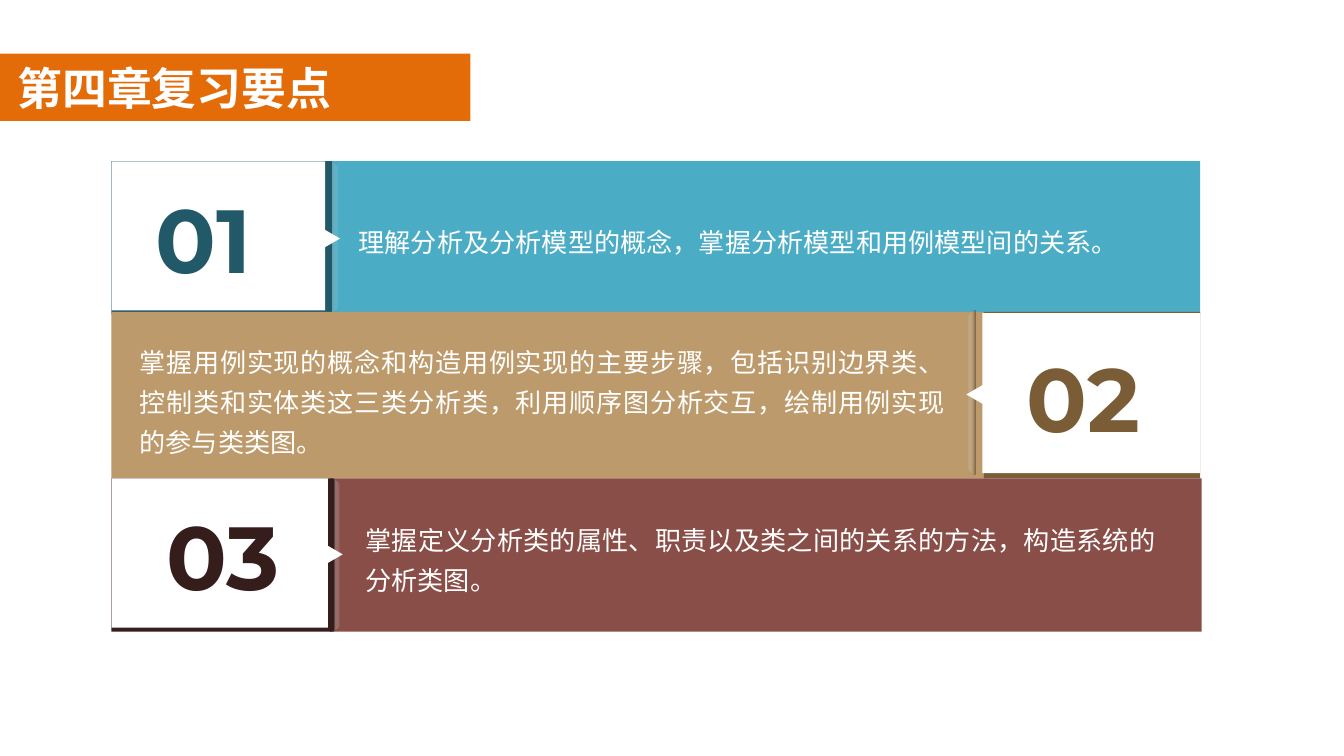
from dataclasses import dataclass
from math import cos, pi, sin

from lxml import etree
from pptx import Presentation
from pptx.dml.color import RGBColor
from pptx.enum.shapes import MSO_SHAPE
from pptx.enum.text import MSO_ANCHOR, MSO_AUTO_SIZE, PP_ALIGN
from pptx.oxml.ns import qn
from pptx.util import Emu, Pt

PX = 9144
WIDE = 1000 * PX
TALL = WIDE * 9 // 16
RECT, ARROW = MSO_SHAPE.RECTANGLE, MSO_SHAPE.ISOSCELES_TRIANGLE
LEFT, JUST = PP_ALIGN.LEFT, PP_ALIGN.JUSTIFY
TOP, MID = MSO_ANCHOR.TOP, MSO_ANCHOR.MIDDLE
FIXED = MSO_AUTO_SIZE.NONE
WHITE = RGBColor(0xFF, 0xFF, 0xFF)
PALE = RGBColor(0xF2, 0xF2, 0xF2)
ORANGE = RGBColor(0xE3, 0x6C, 0x09)
TEAL, DEEP = RGBColor(0x4B, 0xAC, 0xC6), RGBColor(0x21, 0x59, 0x68)
TAN, BROWN = RGBColor(0xBD, 0x9A, 0x6B), RGBColor(0x7A, 0x5D, 0x36)
RED, DARK = RGBColor(0x8A, 0x4E, 0x48), RGBColor(0x35, 0x1D, 0x1B)
HAN, LATIN = "Noto Sans CJK SC", "Montserrat"


@dataclass(frozen=True)
class Box:
    x: int
    y: int
    w: int
    h: int

    def emu(self) -> list[Emu]:
        return [Emu(v * PX) for v in (self.x, self.y, self.w, self.h)]


@dataclass(frozen=True)
class Row:
    mark: str
    text: str
    tint: RGBColor
    shade: RGBColor
    band: Box
    edge: Box
    card: Box
    fold: Box
    arrow: Box
    label: Box
    body: Box
    turn: int = 90
    alpha: int = 100


ROWS = [
    Row("01", "理解分析及分析模型的概念，掌握分析模型和用例模型间的关系。", TEAL, DEEP,
        Box(246, 120, 647, 114), Box(83, 120, 164, 114), Box(83, 120, 159, 111),
        Box(244, 120, 21, 113), Box(239, 171, 15, 13),
        Box(106, 132, 116, 73), Box(257, 157, 608, 38), alpha=82),
    Row("02", "掌握用例实现的概念和构造用例实现的主要步骤，包括识别边界类、"
        "控制类和实体类这三类分析类，利用顺序图分析交互，绘制用例实现的参与类类图。", TAN, BROWN,
        Box(83, 232, 653, 124), Box(732, 232, 161, 124), Box(731, 233, 162, 119),
        Box(710, 231, 16, 122), Box(718, 287, 15, 13),
        Box(754, 250, 116, 73), Box(94, 246, 619, 102), turn=270),
    Row("03", "掌握定义分析类的属性、职责以及类之间的关系的方法，构造系统的分析类图。", RED, DARK,
        Box(249, 356, 645, 114), Box(83, 356, 166, 114), Box(83, 356, 161, 111),
        Box(246, 356, 19, 114), Box(241, 406, 15, 13),
        Box(114, 368, 116, 73), Box(262, 379, 608, 68)),
]


def fade(node, alpha: int) -> None:
    tone = next(node.iter(qn("a:srgbClr")))
    etree.SubElement(tone, qn("a:alpha")).set("val", str(alpha * 1000))


def block(shapes, kind, box: Box, color: RGBColor, turn: int = 0):
    shape = shapes.add_shape(kind, *box.emu())
    shape.shadow.inherit = False
    shape.fill.solid()
    shape.fill.fore_color.rgb = color
    shape.line.fill.background()
    shape.rotation = turn
    return shape


def write(shape, text: str, font: str, size: int, color: RGBColor,
          bold: bool = False, align=LEFT, anchor=TOP, pitch=None) -> None:
    frame = shape.text_frame
    frame.text = text
    frame.word_wrap = True
    frame.auto_size = FIXED
    frame.vertical_anchor = anchor
    para = frame.paragraphs[0]
    para.alignment = align
    if pitch:
        para.line_spacing = Pt(pitch)
    run = para.runs[0]
    run.font.size = Pt(size)
    run.font.bold = bold
    run.font.color.rgb = color
    run.font.name = font
    props = run.font._element
    etree.SubElement(props, qn("a:ea")).set("typeface", font)


def crease(shapes, row: Row) -> None:
    box, right = row.fold, row.turn == 90
    base = box.x if right else box.x + box.w
    reach = box.w if right else -box.w
    steps = 24
    dots = [(round((base + reach * sin(pi * i / steps)) * PX),
             round((box.y + box.h * (1 - cos(pi * i / steps)) / 2) * PX))
            for i in range(steps + 1)]
    pen = shapes.build_freeform(*dots[0])
    pen.add_line_segments(dots[1:], close=True)
    shape = pen.convert_to_shape()
    shape.shadow.inherit = False
    shape.line.fill.background()
    shape.fill.gradient()
    shape.fill.gradient_angle = 0
    stops = [(0, row.shade, row.alpha), (0.39, PALE, 0)]
    if not right:
        stops = [(0.61, PALE, 0), (1, row.shade, row.alpha)]
    for stop, (place, color, alpha) in zip(shape.fill.gradient_stops, stops):
        stop.position = place
        stop.color.rgb = color
        fade(stop._gs, alpha)


def panel(slide, row: Row) -> None:
    shapes = slide.shapes.add_group_shape().shapes
    block(shapes, RECT, row.band, row.tint)
    crease(shapes, row)
    block(shapes, RECT, row.edge, row.shade)
    block(shapes, RECT, row.card, WHITE)
    block(shapes, ARROW, row.arrow, WHITE, row.turn)
    write(shapes.add_textbox(*row.label.emu()), row.mark, LATIN, 48, row.shade, bold=True)
    write(shapes.add_textbox(*row.body.emu()), row.text, HAN, 14, WHITE,
          align=JUST, pitch=21.5)


def main() -> None:
    deck = Presentation()
    deck.slide_width, deck.slide_height = Emu(WIDE), Emu(TALL)
    slide = deck.slides.add_slide(deck.slide_layouts[5])
    veil = block(slide.shapes, RECT, Box(0, 69, 1000, 449), WHITE)
    fade(veil._element.spPr, 50)
    block(slide.shapes, RECT, Box(0, 40, 350, 50), ORANGE)
    title = slide.shapes.title
    title.left, title.top, title.width, title.height = Box(3, 40, 350, 50).emu()
    write(title, "第四章复习要点", HAN, 24, WHITE, bold=True, anchor=MID)
    slide.shapes._spTree.append(title._element)
    for row in ROWS:
        panel(slide, row)
    deck.save("out.pptx")


if __name__ == "__main__":
    main()
